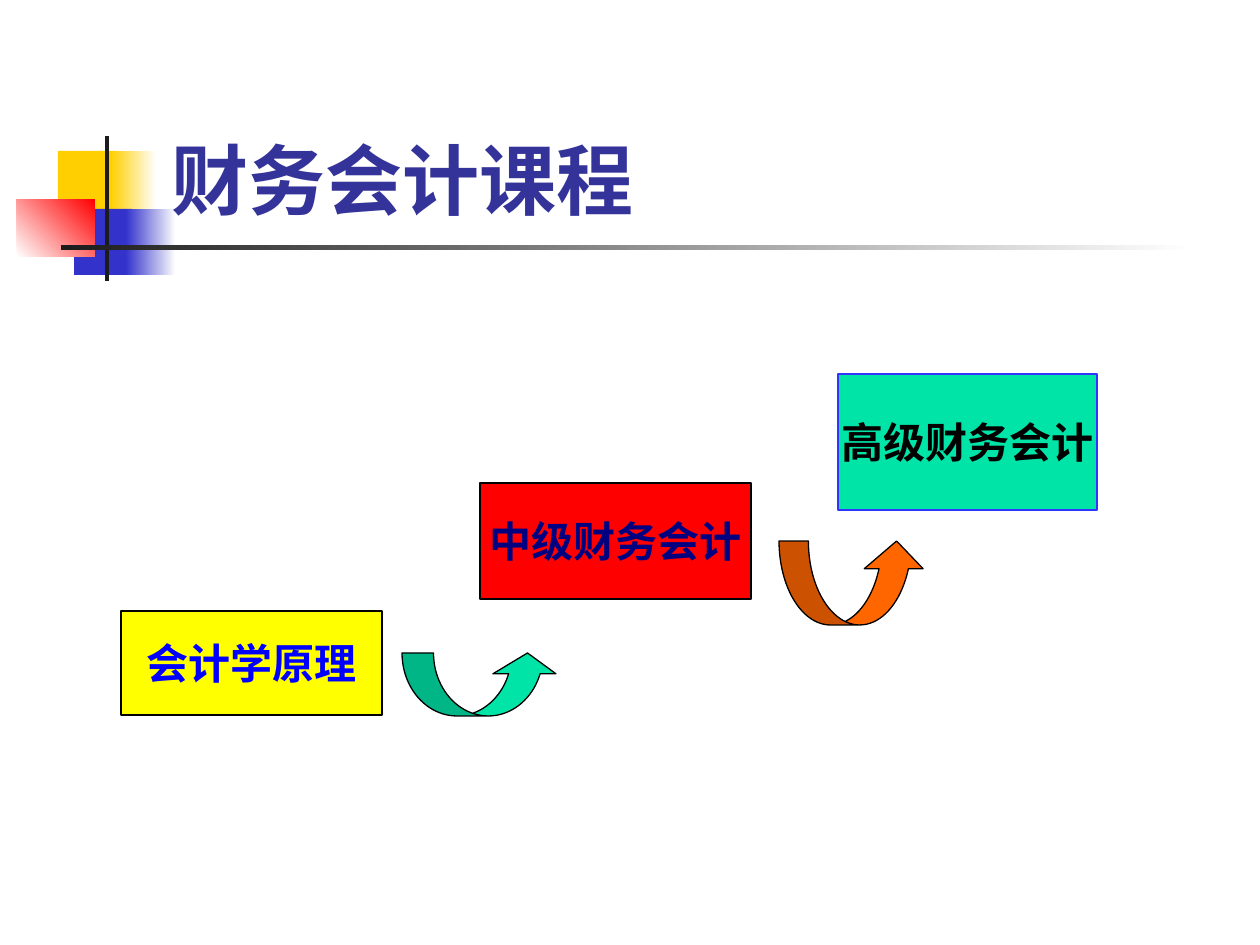
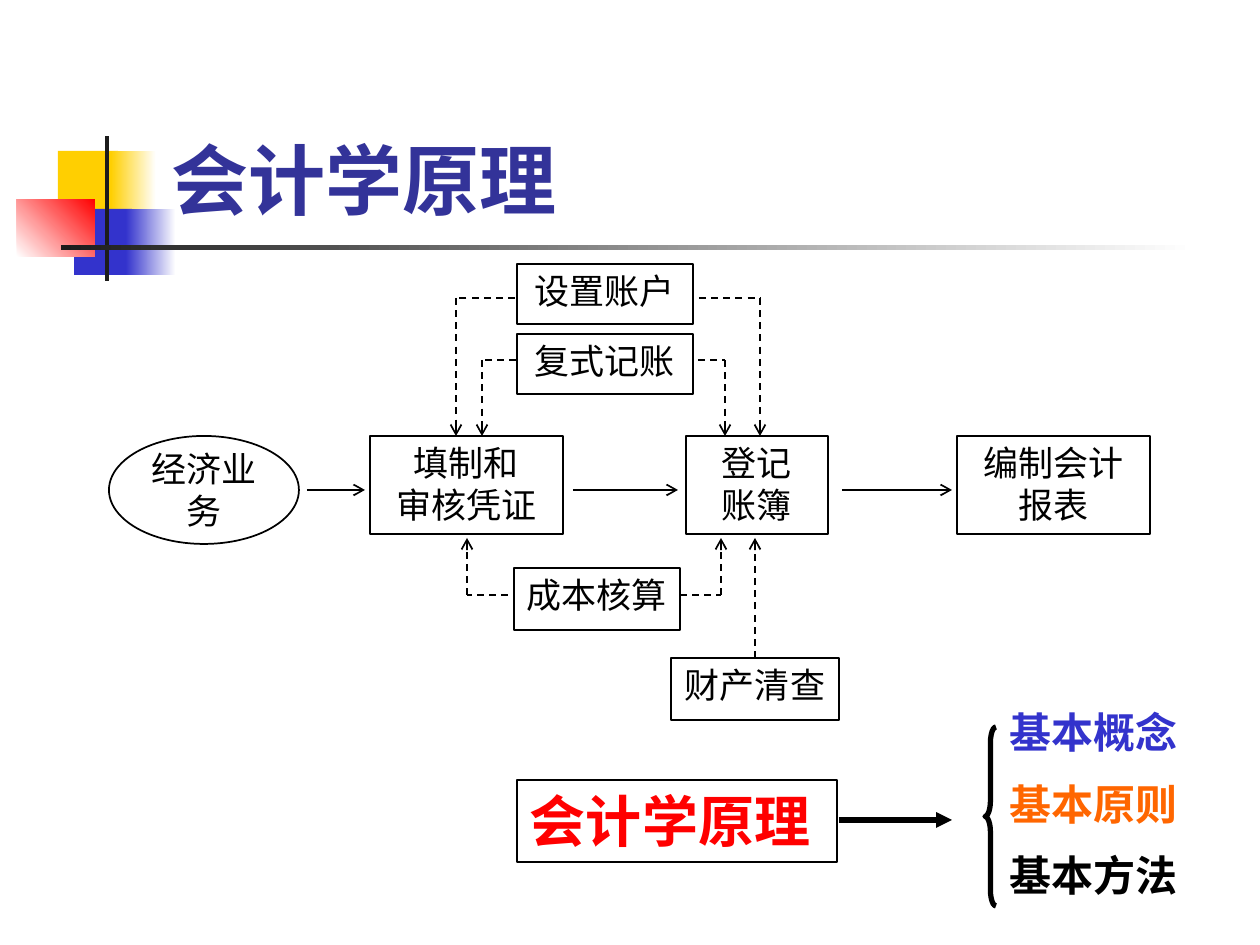
from itertools import pairwise

from lxml import etree
from pptx import Presentation
from pptx.dml.color import RGBColor
from pptx.enum import dml, shapes, text
from pptx.oxml.ns import qn
from pptx.util import Emu, Pt

SCALE = 914400 / 126
WIDTH, HEIGHT = 1260, 945

COLORS = {
    "gold": "FFCF01", "indigo": "3333CC", "red": "FF0000", "ink": "1C1C1C",
    "white": "FFFFFF", "title": "333399", "black": "000000", "yellow": "FFFF00",
    "blue": "0000FF", "navy": "000080", "mint": "00E4A8", "violet": "3333FF",
    "orange": "FF6600",
}
LATIN, SERIF, CHINESE = "Lato", "Times New Roman", "Noto Sans CJK SC"
KIND = shapes.MSO_SHAPE
TITLE_BOX = (159, 29, 1074, 202)

BAND = [
    ((58, 151, 60, 66), "gold"),
    ((111, 151, 45, 66), ("gold", "white", 0)),
    ((74, 209, 58, 66), "indigo"),
    ((126, 209, 50, 66), ("indigo", "white", 0)),
    ((17, 199, 78, 58), ("white", "red", 45)),
    ((105, 136, 4, 145), "ink"),
    ((61, 245, 1134, 5), ("ink", "white", 0)),
]

COURSES = [
    ("会计学原理", (121, 611, 261, 104), "yellow", "black", "blue"),
    ("中级财务会计", (480, 483, 271, 116), "red", "black", "navy"),
    ("高级财务会计", (838, 374, 259, 136), "mint", "violet", "black"),
]
STEP_ARROWS = [
    ((402, 653, 157, 63), "mint", (0.5, 1, 0.33)),
    ((779, 541, 147, 84), "orange", (0.35, 0.7, 0.33)),
]

STEPS = [
    (["填制和", "审核凭证"], (370, 436, 193, 98)),
    (["登记", "账簿"], (686, 436, 142, 98)),
    (["编制会计", "报表"], (957, 436, 193, 98)),
    (["设置账户"], (517, 264, 176, 60)),
    (["复式记账"], (517, 334, 176, 60)),
    (["成本核算"], (514, 568, 166, 62)),
]
FLOW_Y = 490
FLOW_ARROWS = [(307, 365), (573, 678), (842, 952)]
DASHED_ROUTES = [
    [(515, 298), (456, 298), (456, 436)],
    [(699, 298), (760, 298), (760, 436)],
    [(516, 360), (482, 360), (482, 436)],
    [(698, 360), (725, 360), (725, 436)],
    [(508, 595), (467, 595), (467, 538)],
    [(680, 595), (721, 595), (721, 538)],
]
BASICS = [("基本概念", "indigo"), ("基本原则", "orange"), ("基本方法", "black")]


def px(value):
    return Emu(round(value * SCALE))


def rgb(name):
    return RGBColor.from_string(COLORS[name])


def write(shape, lines, size=20, color="black", face=CHINESE, bold=False,
          align="CENTER", anchor="TOP", margins=(8, 6), wrap=True, gap=0):
    frame = shape.text_frame
    frame.auto_size = text.MSO_AUTO_SIZE.NONE
    frame.word_wrap = wrap
    frame.vertical_anchor = text.MSO_ANCHOR[anchor]
    frame.margin_left = frame.margin_right = px(margins[0])
    frame.margin_top = frame.margin_bottom = px(margins[1])
    for index, line in enumerate(lines):
        words, line_color = line if isinstance(line, tuple) else (line, color)
        paragraph = frame.add_paragraph() if index else frame.paragraphs[0]
        paragraph.alignment = text.PP_ALIGN[align]
        paragraph.space_before = Pt(gap if index else 0)
        run = paragraph.add_run()
        run.text = words
        run.font.size = Pt(size)
        run.font.bold = bold
        run.font.name = face
        run.font.color.rgb = rgb(line_color)
    for properties in shape.element.iter(qn("a:rPr")):
        etree.SubElement(properties, qn("a:ea"), typeface=LATIN)


def draw(slide, kind, box, fill=None, line=None, weight=1, adjustments=()):
    shape = slide.shapes.add_shape(kind, *map(px, box))
    shape.shadow.inherit = False
    if isinstance(fill, tuple):
        start, end, angle = fill
        shape.fill.gradient()
        shape.fill.gradient_angle = angle
        for stop, name in zip(shape.fill.gradient_stops, (start, end)):
            stop.color.rgb = rgb(name)
    elif fill:
        shape.fill.solid()
        shape.fill.fore_color.rgb = rgb(fill)
    else:
        shape.fill.background()
    if line:
        shape.line.color.rgb = rgb(line)
        shape.line.width = Pt(weight)
    else:
        shape.line.fill.background()
    for index, value in enumerate(adjustments):
        shape.adjustments[index] = value
    return shape


def connect(slide, start, end, weight=1, dashed=False, head=None):
    connector = slide.shapes.add_connector(
        shapes.MSO_CONNECTOR.STRAIGHT, *map(px, start + end))
    connector.line.color.rgb = rgb("black")
    connector.line.width = Pt(weight)
    if dashed:
        connector.line.dash_style = dml.MSO_LINE.DASH
    properties = connector.element.spPr
    if head:
        etree.SubElement(properties.find(qn("a:ln")), qn("a:tailEnd"), type=head)
    etree.SubElement(properties, qn("a:effectLst"))
    return connector


def add_slide(presentation, layout, title):
    slide = presentation.slides.add_slide(layout)
    shape = slide.shapes.title
    shape.left, shape.top, shape.width, shape.height = map(px, TITLE_BOX)
    write(shape, [title], size=44, color="title", face=LATIN, bold=True,
          align="LEFT", anchor="BOTTOM", margins=(13, 6))
    return slide


def add_band(slide, layout):
    for box, fill in BAND:
        layout.shapes.element.append(draw(slide, KIND.RECTANGLE, box, fill).element)


def fill_courses(slide):
    for name, box, fill, line, color in COURSES:
        course = draw(slide, KIND.RECTANGLE, box, fill, line, 0.75)
        write(course, [name], size=24, color=color, face=SERIF, bold=True,
              anchor="MIDDLE", wrap=False)
    for box, fill, adjustments in STEP_ARROWS:
        draw(slide, KIND.CURVED_UP_ARROW, box, fill, "black", 0.75, adjustments)


def fill_principles(slide):
    business = draw(slide, KIND.OVAL, (109, 436, 190, 108), line="black")
    write(business, ["经济业务"], anchor="MIDDLE", margins=(0, 6))
    for lines, box in STEPS:
        write(draw(slide, KIND.RECTANGLE, box, line="black"), lines)
    for left, right in FLOW_ARROWS:
        connect(slide, (left, FLOW_Y), (right, FLOW_Y), head="arrow")
    for route in DASHED_ROUTES:
        for start, end in pairwise(route):
            connect(slide, start, end, dashed=True,
                    head="arrow" if end == route[-1] else None)

    inventory = draw(slide, KIND.RECTANGLE, (671, 658, 168, 62), line="black")
    write(inventory, ["财产清查"])
    check = connect(slide, (755, 658), (755, 538), dashed=True, head="arrow")
    check.begin_connect(inventory, 0)

    connect(slide, (839, 820), (952, 820), weight=3, head="triangle")
    basics = slide.shapes.add_textbox(*map(px, (997, 701, 210, 217)))
    write(basics, BASICS, size=24, face=SERIF, bold=True, align="LEFT",
          margins=(13, 6), gap=12)
    draw(slide, KIND.LEFT_BRACE, (985, 727, 11, 179), line="black", weight=3,
         adjustments=(1.42, 0.5))
    subject = draw(slide, KIND.RECTANGLE, (517, 780, 320, 82), line="black")
    write(subject, ["会计学原理"], size=32, color="red", face=SERIF, bold=True,
          align="LEFT", margins=(13, 6))


def main():
    presentation = Presentation()
    presentation.slide_width, presentation.slide_height = px(WIDTH), px(HEIGHT)
    layout = presentation.slide_layouts.get_by_name("Title Only")
    courses = add_slide(presentation, layout, "财务会计课程")
    add_band(courses, layout)
    fill_courses(courses)
    fill_principles(add_slide(presentation, layout, "会计学原理"))
    presentation.save("out.pptx")


if __name__ == "__main__":
    main()
